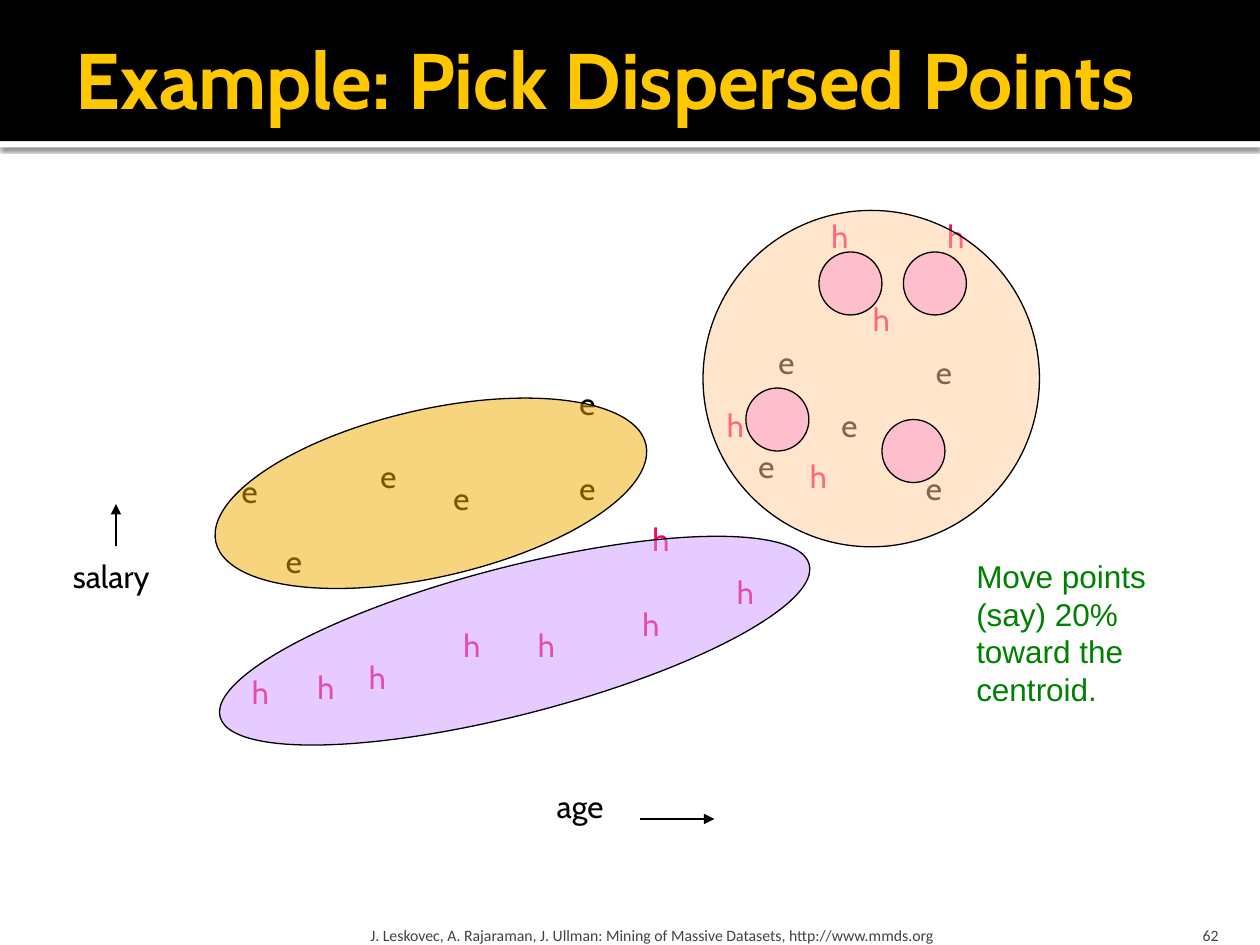
"""Build the slide on picking dispersed points for clusters of age and salary."""
from lxml.etree import SubElement
from pptx import Presentation
from pptx.dml.color import RGBColor
from pptx.enum.shapes import MSO_CONNECTOR, MSO_SHAPE
from pptx.enum.text import MSO_ANCHOR, PP_ALIGN
from pptx.oxml.ns import qn
from pptx.util import Inches, Pt

BLACK = RGBColor(0x00, 0x00, 0x00)
WHITE = RGBColor(0xFF, 0xFF, 0xFF)
GOLD = RGBColor(0xFF, 0xC7, 0x00)
GRAY = RGBColor(0x41, 0x41, 0x41)
GREEN = RGBColor(0x00, 0x80, 0x00)
CRIMSON = RGBColor(0xFF, 0x00, 0x66)
AMBER = RGBColor(0xF0, 0xAD, 0x00)
PEACH = RGBColor(0xFF, 0xCC, 0x99)
LILAC = RGBColor(0xCC, 0x99, 0xFF)
PINK = RGBColor(0xFF, 0x99, 0xCC)

TITLE = "Example: Pick Dispersed Points"
POINTS = {
    "e": (BLACK, [(1.82, 3.7), (3.5, 3.75), (4.5, 3), (5.92, 3.5), (6.08, 2.67),
                  (7.33, 2.75), (2.17, 4.25), (2.92, 3.58), (4.5, 3.67),
                  (6.58, 3.17), (7.25, 3.67)]),
    "h": (CRIMSON, [(1.9, 5.29), (5.67, 3.17), (5.75, 4.5), (6.33, 3.58),
                    (6.83, 2.33), (7.42, 1.67), (3.58, 4.92), (4.17, 4.92),
                    (5.08, 4.08), (5, 4.75), (6.5, 1.67), (2.42, 5.25),
                    (2.83, 5.17)]),
}
AXES = [
    ("salary", (0.48, 4.37, 1.06, 0.5), (0.92, 4.33, 0.92, 4)),
    ("age", (4.32, 6.2, 0.74, 0.5), (5.08, 6.5, 5.67, 6.5)),
]
CLUSTERS = [
    ((1.67, 3.25, 3.5, 1.33), 347.2, AMBER),
    ((5.58, 1.67, 2.67, 2.67), 0, PEACH),
    ((1.67, 4.5, 4.83, 1.17), 345.5, LILAC),
]
MOVED_POINTS = [(6.5, 2), (7.17, 2), (5.92, 3.08), (7, 3.33)]
ADVICE = ["Move points", "(say) 20%", "toward the", "centroid."]
CREDIT = ("J. Leskovec, A. Rajaraman, J. Ullman: Mining of Massive Datasets, "
          "http://www.mmds.org")
PAGE = "62"


def inches(values):
    return [Inches(value) for value in values]


def style(paragraph, size, family, color, bold=False):
    font = paragraph.font
    font.size, font.name, font.bold = Pt(size), family, bold
    font.color.rgb = color


def add_text(slide, box, lines, color=BLACK, size=18, family="Cabin"):
    frame = slide.shapes.add_textbox(*inches(box)).text_frame
    frame.word_wrap = True
    frame.text = "\n".join(lines)
    for paragraph in frame.paragraphs:
        style(paragraph, size, family, color)
    return frame


def add_footer(slide, box, words, side_inset, align):
    frame = add_text(slide, box, [words], GRAY, 9, "Calibri")
    frame.vertical_anchor = MSO_ANCHOR.BOTTOM
    frame.margin_left = frame.margin_right = Inches(side_inset)
    frame.margin_bottom = 0
    frame.paragraphs[0].alignment = align


def add_band(slide, box, color):
    band = slide.shapes.add_shape(MSO_SHAPE.RECTANGLE, *inches(box))
    band.shadow.inherit = False
    band.fill.solid()
    band.fill.fore_color.rgb = color
    band.line.fill.background()
    return band


def cast_shadow(band):
    effects = band._element.spPr.find(qn("a:effectLst"))
    shadow = SubElement(effects, qn("a:outerShdw"), blurRad=str(Pt(2.5)),
                        dist=str(Pt(0.8)), dir="5400000", rotWithShape="0")
    black = SubElement(shadow, qn("a:srgbClr"), val="000000")
    SubElement(black, qn("a:alpha"), val="60000")


def add_ellipse(slide, box, color, rotation=0):
    ellipse = slide.shapes.add_shape(MSO_SHAPE.OVAL, *inches(box))
    ellipse.rotation = rotation
    ellipse.shadow.inherit = False
    ellipse.fill.solid()
    ellipse.fill.fore_color.rgb = color
    fill_color = ellipse._element.spPr.find(qn("a:solidFill"))[0]
    SubElement(fill_color, qn("a:alpha"), val="50000")
    ellipse.line.color.rgb = BLACK
    ellipse.line.width = Pt(0.75)


def add_arrow(slide, ends):
    arrow = slide.shapes.add_connector(MSO_CONNECTOR.STRAIGHT, *inches(ends))
    arrow.line.color.rgb = BLACK
    arrow.line.width = Pt(0.75)
    SubElement(arrow.line._get_or_add_ln(), qn("a:tailEnd"), type="triangle")
    SubElement(arrow._element.spPr, qn("a:effectLst"))


def add_title(slide):
    title = slide.shapes.title
    title.left, title.top, title.width, title.height = inches((0.5, 0.08, 9, 1.08))
    frame = title.text_frame
    frame.text = TITLE
    frame.vertical_anchor = MSO_ANCHOR.MIDDLE
    frame.margin_left = Inches(0.1)
    frame.margin_right = frame.margin_top = frame.margin_bottom = Inches(0.05)
    frame.paragraphs[0].alignment = PP_ALIGN.LEFT
    style(frame.paragraphs[0], 45, "Cabin", GOLD, bold=True)
    slide.shapes._spTree.append(title._element)


def main():
    deck = Presentation()
    deck.slide_width, deck.slide_height = inches((10, 7.5))
    slide = deck.slides.add_slide(deck.slide_layouts[5])

    cast_shadow(add_band(slide, (0, 1.12, 10, 0.05), WHITE))
    add_band(slide, (0, 0, 10, 1.12), BLACK)
    add_title(slide)

    for letter, (color, places) in POINTS.items():
        for left, top in places:
            add_text(slide, (left, top, 0.39, 0.5), [letter], color)
    for label, box, ends in AXES:
        add_text(slide, box, [label])
        add_arrow(slide, ends)
    for box, rotation, color in CLUSTERS:
        add_ellipse(slide, box, color, rotation)
    for left, top in MOVED_POINTS:
        add_ellipse(slide, (left, top, 0.5, 0.5), PINK)

    add_text(slide, (7.65, 4.37, 1.56, 1.31), ADVICE, GREEN, family="Arial")
    add_footer(slide, (2.89, 7.2, 6.02, 0.3), CREDIT, 0.05, PP_ALIGN.LEFT)
    add_footer(slide, (8.97, 7.2, 0.8, 0.3), PAGE, 0.1, PP_ALIGN.RIGHT)
    deck.save("out.pptx")


if __name__ == "__main__":
    main()
